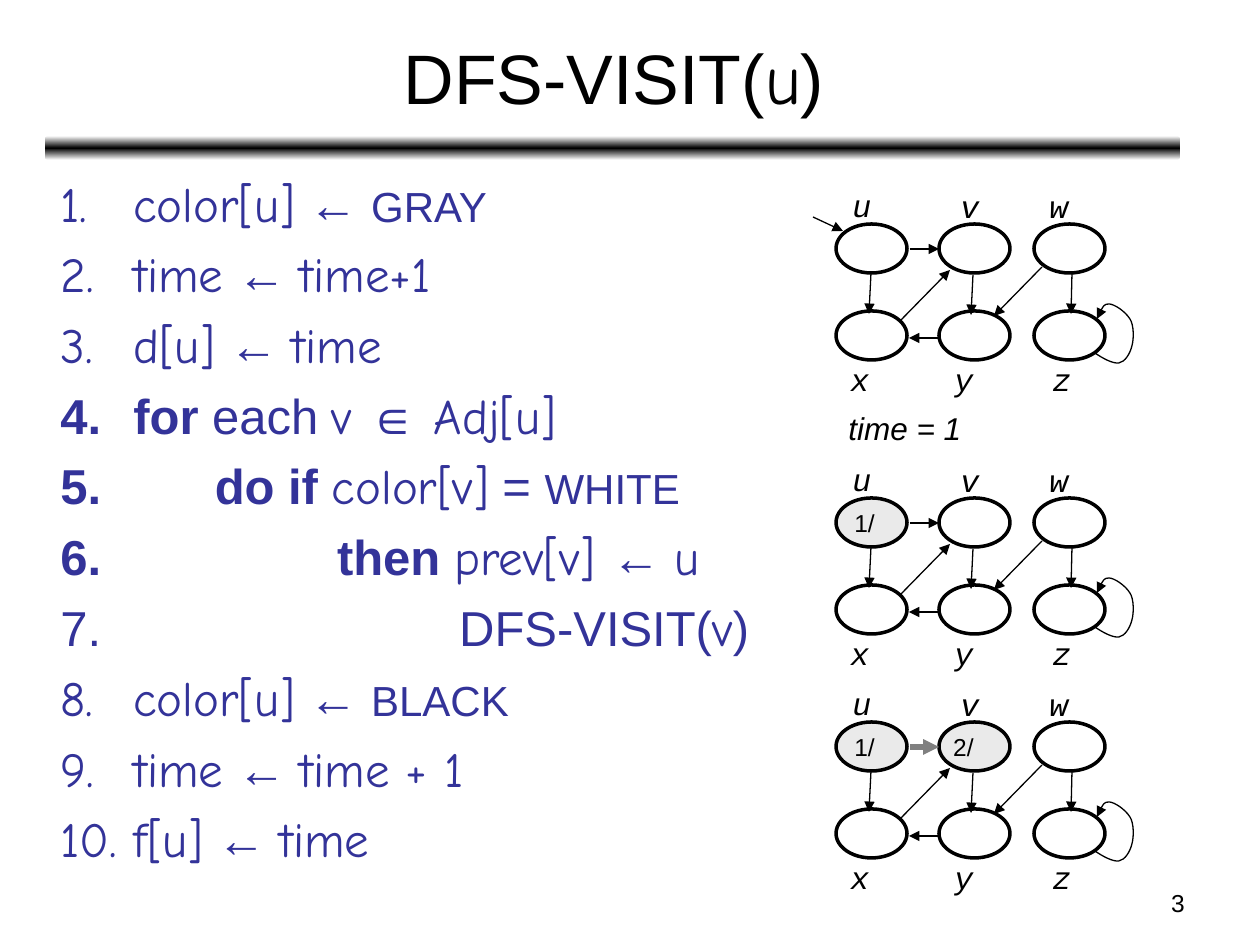
from copy import deepcopy

from lxml import etree
from pptx import Presentation
from pptx import util as u
from pptx.dml.color import RGBColor
from pptx.enum import shapes, text
from pptx.oxml import ns

BLACK = RGBColor(0x00, 0x00, 0x00)
WHITE = RGBColor(0xFF, 0xFF, 0xFF)
BLUE = RGBColor(0x33, 0x33, 0x99)
PALE = RGBColor(0xEA, 0xEA, 0xEA)
GRAY = RGBColor(0x80, 0x80, 0x80)

TITLE = dict(name="Arial", size=u.Pt(40), color=BLACK)
NOTE = dict(name="Arial", size=u.Pt(14), color=BLACK)
TIME = dict(name="Arial", size=u.Pt(18), color=BLACK, italic=True)
LABEL = dict(TIME, name="Courier New")
WORD = dict(name="Arial", size=u.Pt(28), color=BLUE)
CODE = dict(WORD, name="Comic Neue")
KEY = dict(WORD, bold=True)
CAPS = dict(WORD, size=u.Pt(24))
GETS = (" ← ", WORD)
SNUG = dict(word_wrap=False, auto_size=text.MSO_AUTO_SIZE.SHAPE_TO_FIT_TEXT)

STEPS = [
    [("color[u]", CODE), GETS, ("GRAY", CAPS)],
    [("time", CODE), GETS, ("time+1", CODE)],
    [("d[u]", CODE), GETS, ("time", CODE)],
    [("for ", KEY), ("each ", WORD), ("v ", CODE), ("∈", WORD), (" Adj[u]", CODE)],
    [("      do if ", KEY), ("color[v]", CODE), (" = ", WORD), ("WHITE", CAPS)],
    [("               then ", KEY), ("prev[v] ", CODE), ("← ", WORD), ("u", CODE)],
    [("                        DFS-VISIT(", WORD), ("v", CODE), (")", WORD)],
    [("color[u]", CODE), GETS, ("BLACK", CAPS)],
    [("time", CODE), GETS, ("time + 1", CODE)],
    [("f[u]", CODE), GETS, ("time", CODE)],
]

# Graph parts: x on the slide, y from the top of the upper row of nodes
NODES = {"u": (836, 0), "v": (939, 0), "w": (1034, 0),
         "x": (836, 87), "y": (939, 87), "z": (1034, 87)}
LABELS = {"u": (840, -44, 43), "v": (948, -43, 39), "w": (1037, -43, 48),
          "x": (838, 130, 40), "y": (942, 130, 39), "z": (1040, 130, 39)}
EDGES = {"ux": (871, 49, 869, 90), "vy": (973, 51, 971, 91),
         "wz": (1072, 49, 1071, 90), "uv": (910, 25, 939, 25),
         "yx": (939, 114, 909, 114), "wy": (1042, 43, 994, 92),
         "xv": (901, 96, 950, 46)}
LOOP = [(1095, 129),
        (1102, 134), (1113, 140), (1119, 139),
        (1125, 138), (1130, 130), (1132, 122),
        (1134, 115), (1134, 101), (1130, 95),
        (1125, 87), (1114, 80), (1109, 80),
        (1104, 80), (1100, 87), (1097, 95)]
# Each state: top, then times found as text and right inset, then tree edges
STATES = [(224, {}, ()),
          (498, {"u": ("1/", 14)}, ()),
          (722, {"u": ("1/", 14), "v": ("2/", 22)}, ("uv",))]


def px(*nums):
    return [u.Emu(round(n * 914400 / 126)) for n in nums]


def add_runs(para, runs):
    for words, style in runs:
        run = para.add_run()
        run.text = words
        for key, val in style.items():
            if key == "color":
                run.font.color.rgb = val
            else:
                setattr(run.font, key, val)


def add_text(host, box, runs, align=text.PP_ALIGN.LEFT, **frame):
    """Add a text box of one paragraph; frame holds text frame settings."""
    body = host.add_textbox(*px(*box)).text_frame
    for key, val in {"word_wrap": True, **frame}.items():
        setattr(body, key, val)
    para = body.paragraphs[0]
    para.alignment = align
    add_runs(para, runs)
    return body


def add_bar(host):
    bar = host.add_shape(shapes.MSO_SHAPE.ROUNDED_RECTANGLE, *px(45, 136, 1135, 24))
    bar.shadow.inherit = False
    bar.line.fill.background()
    bar.fill.gradient()
    bar.fill.gradient_angle = 90
    stops = bar._element.xpath(".//a:gsLst")[0]
    stops.append(deepcopy(stops[0]))
    for stop, spot, tint in zip(bar.fill.gradient_stops, (0, 0.5, 1), (WHITE, BLACK, WHITE)):
        stop.position = spot
        stop.color.rgb = tint


def add_steps(host):
    body = add_text(host, (48, 167, 1134, 737), [])
    for num, runs in enumerate(STEPS):
        para = body.add_paragraph() if num else body.paragraphs[0]
        props = para._p.get_or_add_pPr()
        props.set("marL", str(px(73)[0]))
        props.set("indent", str(px(-73)[0]))
        tint = etree.SubElement(props, ns.qn("a:buClr"))
        etree.SubElement(tint, ns.qn("a:srgbClr"), val=str(BLUE))
        etree.SubElement(props, ns.qn("a:buAutoNum"), type="arabicPeriod")
        if num:
            para.space_before = u.Pt(6.75)
        add_runs(para, runs)


def set_line(line, width, tint=BLACK, head=False):
    line.width = u.Pt(width)
    line.color.rgb = tint
    if head:
        etree.SubElement(line._get_or_add_ln(), ns.qn("a:tailEnd"), type="triangle")


def add_arrow(host, ends, width=0.75, tint=BLACK):
    edge = host.add_connector(shapes.MSO_CONNECTOR.STRAIGHT, *px(*ends))
    set_line(edge.line, width, tint, head=True)
    etree.SubElement(edge._element.spPr, ns.qn("a:effectLst"))


def add_node(host, x, y, found):
    node = host.add_shape(shapes.MSO_SHAPE.OVAL, *px(x, y, 71, 49))
    node.shadow.inherit = False
    set_line(node.line, 2)
    if not found:
        node.fill.background()
        return
    node.fill.solid()
    node.fill.fore_color.rgb = PALE
    words, inset = found
    body = node.text_frame
    body.word_wrap = False
    body.margin_left, body.margin_right = px(0, inset)
    body.vertical_anchor = text.MSO_ANCHOR.MIDDLE
    body.paragraphs[0].alignment = text.PP_ALIGN.CENTER
    add_runs(body.paragraphs[0], [(words, NOTE)])


def add_loop(host, top):
    """Draw the curved edge from z to itself."""
    dots = [px(x, top + y) for x, y in LOOP]
    draft = host.build_freeform(*dots[0])
    draft.add_line_segments(dots[1:], close=False)
    loop = draft.convert_to_shape()
    loop.shadow.inherit = False
    loop.fill.background()
    set_line(loop.line, 0.75, head=True)
    # Every three straight segments hold the points of one Bézier curve
    sides = loop._element.xpath(".//a:lnTo")
    trace = sides[0].getparent()
    for i in range(0, len(sides), 3):
        curve = etree.SubElement(trace, ns.qn("a:cubicBezTo"))
        for side in sides[i:i + 3]:
            curve.append(side[0])
            trace.remove(side)


def add_graph(host, top, found, tree):
    group = host.add_group_shape().shapes
    for name, (x, y) in NODES.items():
        add_node(group, x, top + y, found.get(name))
    for name, (x, y, wide) in LABELS.items():
        add_text(group, (x, top + y, wide, 50), [(name, LABEL)], **SNUG)
    for name, (x1, y1, x2, y2) in EDGES.items():
        look = (3, GRAY) if name in tree else (0.75, BLACK)
        add_arrow(group, (x1, top + y1, x2, top + y2), *look)
    add_loop(group, top)


def main():
    deck = Presentation()
    deck.slide_width, deck.slide_height = px(1260, 945)
    host = deck.slides.add_slide(deck.slide_layouts[6]).shapes
    add_bar(host)
    add_text(host, (903, 882, 294, 44), [("3", NOTE)], text.PP_ALIGN.RIGHT)
    add_text(host, (47, 14, 1134, 125),
             [("DFS-VISIT(", TITLE), ("u", dict(TITLE, name="Comic Neue")), (")", TITLE)],
             text.PP_ALIGN.CENTER, vertical_anchor=text.MSO_ANCHOR.MIDDLE)
    add_steps(host)
    for state in STATES:
        add_graph(host, *state)
    add_arrow(host, (813, 217, 843, 231))
    add_text(host, (836, 403, 138, 50), [("time = 1", TIME)], **SNUG)
    deck.save("out.pptx")


if __name__ == "__main__":
    main()
